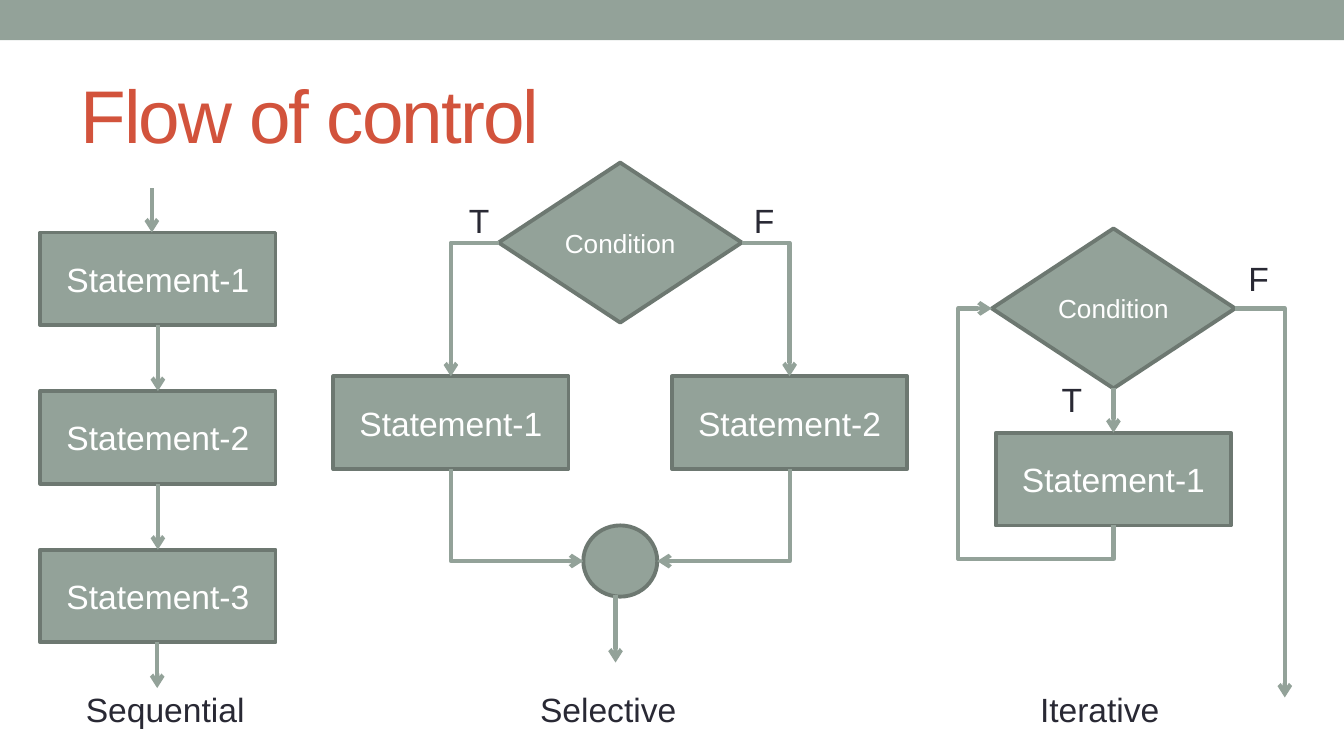
from lxml import etree
from pptx import Presentation
from pptx import util as u
from pptx.dml.color import RGBColor
from pptx.enum import shapes, text
from pptx.oxml.ns import qn

SAGE, EDGE, INK, WHITE, RED = "93A299", "6D7871", "292934", "FFFFFF", "D2533C"
SHAPE = shapes.MSO_SHAPE
BOX_W, BOX_H = 1.75, 0.69
COND_W, COND_H = 1.81, 1.19


def rgb(value):
    return RGBColor.from_string(value)


def write(sp, content, size=18, color=INK, align=text.PP_ALIGN.LEFT,
          anchor=text.MSO_ANCHOR.TOP, wrap=True, margin=None, spacing=None):
    tf = sp.text_frame
    tf.word_wrap = wrap
    tf.vertical_anchor = anchor
    if margin is not None:
        tf.margin_left = tf.margin_right = u.Inches(margin)
        tf.margin_top = tf.margin_bottom = u.Inches(margin)
    p = tf.paragraphs[0]
    p.alignment = align
    r = p.add_run()
    r.text = content
    r.font.name, r.font.size = "Arial", u.Pt(size)
    r.font.color.rgb = rgb(color)
    if spacing is not None:
        r.font._element.set("spc", str(spacing))


def label(s, content, x, y, w=0.32, h=0.4, **fmt):
    sp = s.shapes.add_textbox(*map(u.Inches, (x, y, w, h)))
    write(sp, content, **fmt)


def node(s, kind, x, y, w, h, content=None, line=EDGE, **fmt):
    sp = s.shapes.add_shape(kind, *map(u.Inches, (x, y, w, h)))
    sp.shadow.inherit = False
    sp.fill.solid()
    sp.fill.fore_color.rgb = rgb(SAGE)
    if line:
        sp.line.color.rgb = rgb(line)
        sp.line.width = u.Pt(2.08)
    else:
        sp.line.fill.background()
    if content:
        write(sp, content, color=WHITE, align=text.PP_ALIGN.CENTER,
              anchor=text.MSO_ANCHOR.MIDDLE, **fmt)
    return sp


def statement(s, number, x, y):
    return node(s, SHAPE.RECTANGLE, x, y, BOX_W, BOX_H, f"Statement-{number}")


def condition(s, x, y):
    return node(s, SHAPE.FLOWCHART_DECISION, x, y, COND_W, COND_H,
                "Condition", size=14, margin=0)


def arrow(s, start, end, kind=shapes.MSO_CONNECTOR.STRAIGHT):
    c = s.shapes.add_connector(kind, *map(u.Inches, (*start, *end)))
    c.line.color.rgb = rgb(SAGE)
    c.line.width = u.Pt(2.25)
    sp_pr = c._element.spPr
    etree.SubElement(sp_pr.find(qn("a:ln")), qn("a:tailEnd"), type="arrow")
    etree.SubElement(sp_pr, qn("a:effectLst"))
    return c


def join(s, upper, lower):
    c = arrow(s, (0, 0), (1, 1))
    c.begin_connect(upper, 2)
    c.end_connect(lower, 0)


def elbow(s, start, end, rot=0, flip=None, adjust=()):
    """Arrow with one bend, or three when two adjust values are given."""
    (x1, y1), (x2, y2) = start, end
    w, h = abs(x2 - x1), abs(y2 - y1)
    if rot % 180:
        w, h = h, w
    left, top = (x1 + x2 - w) / 2, (y1 + y2 - h) / 2
    c = arrow(s, (left, top), (left + w, top + h), shapes.MSO_CONNECTOR.ELBOW)
    xfrm = c._element.spPr.find(qn("a:xfrm"))
    xfrm.set("rot", str(rot * 60000))
    if flip:
        xfrm.set(flip, "1")
    geom = c._element.spPr.find(qn("a:prstGeom"))
    geom.set("prst", "bentConnector4" if adjust else "bentConnector2")
    guides = geom.find(qn("a:avLst"))
    for i, value in enumerate(adjust, 1):
        etree.SubElement(guides, qn("a:gd"), name=f"adj{i}",
                         fmla=f"val {round(value * 100000)}")


def header(s, x, y, w):
    node(s, SHAPE.RECTANGLE, x, y, w, 0.3, line=None)
    label(s, "Flow of control", x + 0.5, y + 0.44, w - 1, 0.81, size=40,
          color=RED, anchor=text.MSO_ANCHOR.MIDDLE, spacing=-100)


def sequential(s, x, y):
    first = y + 0.33
    step = 1.18
    boxes = [statement(s, i + 1, x, first + i * step) for i in range(3)]
    for upper, lower in zip(boxes, boxes[1:]):
        join(s, upper, lower)
    bottom = first + 2 * step + BOX_H
    arrow(s, (x + 0.83, y), (x + 0.83, first))
    arrow(s, (x + 0.87, bottom), (x + 0.87, bottom + 0.34))
    label(s, "Sequential", x + 0.24, y + 3.68, 1.54)


def selective(s, x, y):
    cond_x, mid_y = x + 1.23, y + COND_H / 2
    cond_end = cond_x + COND_W
    box_y, false_x = y + 1.59, x + 2.52
    true_mid, false_mid = x + BOX_W / 2, false_x + BOX_W / 2
    merge_x, merge_y, merge_w, merge_h = x + 1.86, y + 2.7, 0.55, 0.53
    merge_mid = merge_y + merge_h / 2

    condition(s, cond_x, y)
    statement(s, 1, x, box_y)
    statement(s, 2, false_x, box_y)
    elbow(s, (cond_x, mid_y), (true_mid, box_y), 180, "flipV")
    elbow(s, (cond_end, mid_y), (false_mid, box_y))
    node(s, SHAPE.FLOWCHART_CONNECTOR, merge_x, merge_y, merge_w, merge_h)
    elbow(s, (true_mid, box_y + BOX_H), (merge_x, merge_mid), 270, "flipH")
    elbow(s, (false_mid, box_y + BOX_H), (merge_x + merge_w, merge_mid), 90)
    arrow(s, (x + 2.1, y + 3.22), (x + 2.1, y + 3.72))
    label(s, "T", x + 0.91, y + 0.23, wrap=False)
    label(s, "F", x + 3.03, y + 0.23, wrap=False)
    label(s, "Selective", x + 1.44, y + 3.87, 1.54)


def iterative(s, x, y):
    mid_x, mid_y, end = x + COND_W / 2, y + COND_H / 2, x + COND_W
    box_y = y + 1.52
    bottom = box_y + BOX_H
    cond = condition(s, x, y)
    body = statement(s, 1, mid_x - BOX_W / 2, box_y)
    gap = 0.25
    elbow(s, (mid_x, bottom), (x, mid_y), 90, "flipH",
          (-gap / (bottom - mid_y), 1 + gap / (mid_x - x)))
    join(s, cond, body)
    elbow(s, (end, mid_y), (end + 0.37, y + 3.49))
    label(s, "T", x + 0.42, y + 1.07, wrap=False)
    label(s, "F", end, y + 0.17, wrap=False)
    label(s, "Iterative", x + 0.26, y + 3.38, 1.54)


def main():
    prs = Presentation()
    width = 10
    prs.slide_width, prs.slide_height = u.Inches(width), u.Inches(width * 9 / 16)
    s = prs.slides.add_slide(prs.slide_layouts[6])
    header(s, 0, 0, width)
    sequential(s, 0.3, 1.4)
    selective(s, 2.48, 1.21)
    iterative(s, 7.38, 1.7)
    prs.save("out.pptx")


if __name__ == "__main__":
    main()
